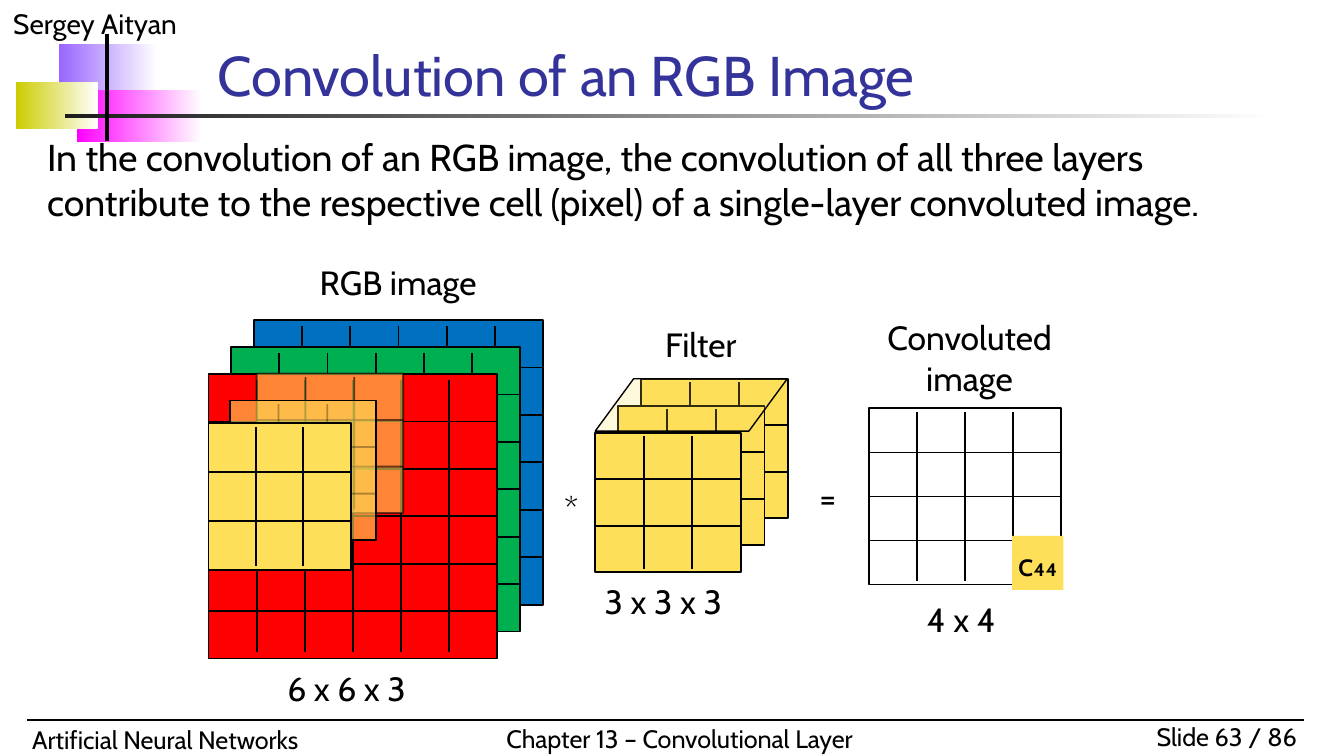
from lxml import etree
from pptx import Presentation
from pptx.dml.color import RGBColor
from pptx.enum.shapes import MSO_CONNECTOR, MSO_SHAPE
from pptx.enum.text import MSO_ANCHOR, MSO_AUTO_SIZE, PP_ALIGN
from pptx.oxml.ns import qn
from pptx.util import Cm, Pt

RECTANGLE, PARALLELOGRAM = MSO_SHAPE.RECTANGLE, MSO_SHAPE.FLOWCHART_DATA
STRAIGHT = MSO_CONNECTOR.STRAIGHT
LEFT, CENTER, RIGHT = PP_ALIGN.LEFT, PP_ALIGN.CENTER, PP_ALIGN.RIGHT
BOTTOM, NO_FIT = MSO_ANCHOR.BOTTOM, MSO_AUTO_SIZE.NONE
FONT, BLACK, YELLOW = "Cabin", "000000", "FEDF59"


def paint(fill, color, end=None, alpha=100):
    """Solid fill, or a left-to-right gradient when an end colour is given."""
    if end:
        fill.gradient()
        fill.gradient_angle = 0
        for stop, shade in zip(fill.gradient_stops, (color, end)):
            stop.color.rgb = RGBColor.from_string(shade)
        return
    fill.solid()
    fill.fore_color.rgb = RGBColor.from_string(color)
    if alpha < 100:
        srgb = next(fill._xPr.iter(qn("a:srgbClr")))
        etree.SubElement(srgb, qn("a:alpha"), val=str(alpha * 1000))


def add_line(x1, y1, x2, y2, width=1, alpha=100):
    line = slide.shapes.add_connector(STRAIGHT, Cm(x1), Cm(y1), Cm(x2), Cm(y2))
    line.line.width = Pt(width)
    paint(line.line.fill, BLACK, alpha=alpha)
    etree.SubElement(line._element.spPr, qn("a:effectLst"))


prs = Presentation()
prs.slide_width, prs.slide_height = Cm(25.4), Cm(14.29)
slide = prs.slides.add_slide(prs.slide_layouts[5])

# Corner ornament and rules
for left, top, width, height, color in [
    (1.12, 0.84, 1.85, 0.99, "9966FF"),
    (1.45, 1.7, 2.36, 0.99, "FF00FF"),
    (0.3, 1.55, 1.55, 0.89, "CCCC00"),
    (1.22, 2.16, 22.86, 0.08, "1C1C1C"),
]:
    block = slide.shapes.add_shape(RECTANGLE, Cm(left), Cm(top), Cm(width), Cm(height))
    block.shadow.inherit = False
    block.line.fill.background()
    paint(block.fill, color, end="FFFFFF")
add_line(0.51, 13.61, 24.64, 13.61, width=0.75)
add_line(2.03, 0.64, 2.03, 2.67, width=2)

# Title
title = slide.shapes.title
for name, value in {"left": Cm(3.86), "top": Cm(0.79), "width": Cm(18.67), "height": Cm(1.37)}.items():
    setattr(title, name, value)
title.text = "Convolution of an RGB Image"
for name, value in {"auto_size": NO_FIT, "vertical_anchor": BOTTOM, "word_wrap": True}.items():
    setattr(title.text_frame, name, value)
heading = title.text_frame.paragraphs[0]
heading.alignment = LEFT
for name, value in {"name": FONT, "size": Pt(30)}.items():
    setattr(heading.font, name, value)
paint(heading.font.fill, "333399")

# Grids, back to front: left, top, width, height, cells, gap at line ends,
# fill colour, then opacity of fill, outline and inner lines
grids = [
    (12.12 - 0.44 * i, 7.16 + 0.51 * i, 2.77, 2.64, 3, 0.07, YELLOW, 100, 100, 100)
    for i in range(3)
]
grids.append((16.43, 7.72, 3.63, 3.33, 4, 0.07, None, 100, 100, 100))
grids += [
    (4.8 - 0.43 * i, 6.05 + 0.51 * i, 5.46, 5.38, 6, 0.12, channel, 100, 100, 100)
    for i, channel in enumerate(["0070C0", "00B050", "FF0000"])
]
grids += [
    (4.85, 7.06, 2.77, 2.64, 3, 0.07, YELLOW, 60, 60, 60),
    (4.34, 7.57, 2.77, 2.64, 3, 0.07, YELLOW, 60, 100, 30),
    (3.94, 8, 2.69, 2.77, 3, 0.07, YELLOW, 100, 100, 100),
]
for left, top, width, height, cells, gap, color, opacity, outline, inner in grids:
    layer = slide.shapes.add_shape(RECTANGLE, Cm(left), Cm(top), Cm(width), Cm(height))
    layer.shadow.inherit = False
    if color:
        paint(layer.fill, color, alpha=opacity)
    else:
        layer.fill.background()
    layer.line.width = Pt(1)
    paint(layer.line.fill, BLACK, alpha=outline)
    for i in range(1, cells):
        x, y = left + width * i / cells, top + height * i / cells
        add_line(left, y, left + width, y, alpha=inner)
        add_line(x, top + gap, x, top + height - gap, alpha=inner)

# Translucent top face of the filter
face = slide.shapes.add_shape(PARALLELOGRAM, Cm(11.25), Cm(7.16), Cm(3.63), Cm(0.99))
face.shadow.inherit = False
paint(face.fill, YELLOW, alpha=20)
face.line.width = Pt(0.75)
paint(face.line.fill, BLACK)

# Texts: left, top, width, height, size, alignment, side and top margin, fill
for text, left, top, width, height, size, align, side, edge, color in [
    ("Sergey Aityan", 0, 0, 6.35, 0.89, 15, LEFT, 0.25, 0.13, None),
    ("Slide 63 / 86", 20.95, 13.51, 3.81, 0.84, 13.5, RIGHT, 0.25, 0.13, None),
    ("Artificial Neural Networks", 0.36, 13.56, 9.4, 0.84, 13.5, LEFT, 0.25, 0.13, None),
    ("Chapter 13 – Convolutional Layer", 9.32, 13.54, 7.59, 0.84, 13.5, LEFT, 0.25, 0.13, None),
    ("In the convolution of an RGB image, the convolution of all three layers "
     "contribute to the respective cell (pixel) of a single-layer convoluted image.",
     0.64, 2.41, 24.13, 1.98, 20, LEFT, 0.25, 0.13, None),
    ("3 x 3 x 3", 11.18, 10.85, 3.2, 1.02, 18, LEFT, 0.25, 0.13, None),
    ("Filter", 12.32, 5.99, 2.01, 1.02, 18, LEFT, 0.25, 0.13, None),
    ("6 x 6 x 3", 5.18, 12.5, 3.2, 1.02, 18, LEFT, 0.25, 0.13, None),
    ("4 x 4", 17.27, 11.2, 1.93, 1.02, 18, LEFT, 0.25, 0.13, None),
    ("Convoluted image", 16.38, 5.87, 3.89, 1.8, 18, CENTER, 0.25, 0.13, None),
    ("RGB image", 5.79, 4.83, 4.01, 1.02, 18, LEFT, 0.25, 0.13, None),
    ("*", 10.31, 9.22, 0.97, 0.76, 18, CENTER, 0, 0, None),
    ("=", 15.16, 9.02, 0.97, 0.76, 18, CENTER, 0, 0, None),
    ("c₄₄", 19.13, 10.13, 0.97, 1.02, 18, CENTER, 0, 0.13, YELLOW),
]:
    label = slide.shapes.add_textbox(Cm(left), Cm(top), Cm(width), Cm(height))
    if color:
        paint(label.fill, color)
    for name, value in {
        "word_wrap": True, "auto_size": NO_FIT,
        "margin_left": Cm(side), "margin_right": Cm(side),
        "margin_top": Cm(edge), "margin_bottom": Cm(edge),
    }.items():
        setattr(label.text_frame, name, value)
    paragraph = label.text_frame.paragraphs[0]
    paragraph.alignment = align
    run = paragraph.add_run()
    run.text = text
    for name, value in {"name": FONT, "size": Pt(size)}.items():
        setattr(run.font, name, value)
    paint(run.font.fill, BLACK)

prs.save("out.pptx")
